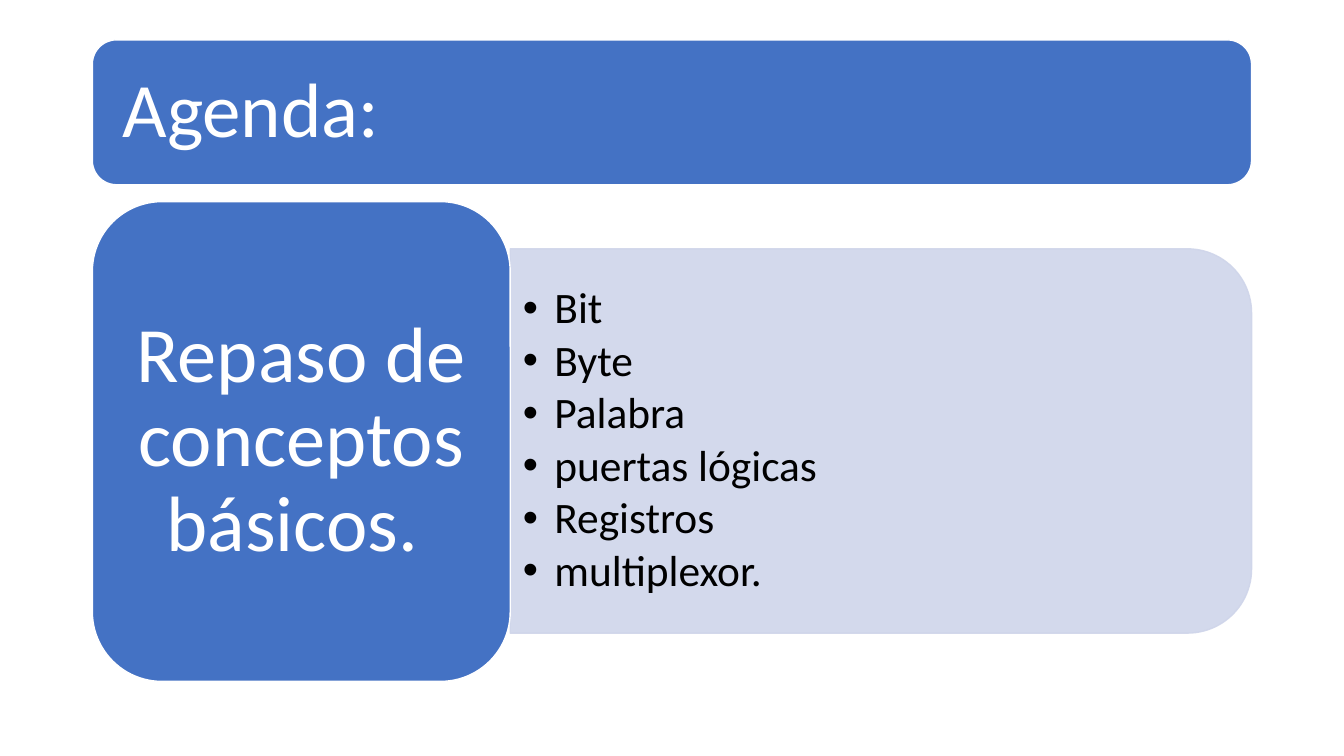
from dataclasses import dataclass

from lxml import etree
from pptx import Presentation
from pptx.dml.color import RGBColor
from pptx.enum import shapes, text
from pptx.oxml.ns import qn
from pptx.util import Pt

EMU_PER_PX = 9525


@dataclass(frozen=True)
class Theme:
    font: str = "Calibri"
    accent: str = "4472C4"
    pale: str = "CFD5EA"
    white: str = "FFFFFF"
    black: str = "000000"
    title_size: int = 55
    topic_size: int = 56
    item_size: int = 31
    line_spacing: float = 0.9
    item_gap: int = 4
    panel_opacity: int = 90


THEME = Theme()
CONCEPTS = ["Bit", "Byte", "Palabra", "puertas lógicas", "Registros", "multiplexor."]


def px(value):
    return int(value * EMU_PER_PX)


def set_opacity(fill, percent):
    color = fill._xPr.find(qn("a:solidFill"))[0]
    etree.SubElement(color, qn("a:alpha"), val=str(percent * 1000))


def add_block(slide, kind, box, color, line_color):
    shape = slide.shapes.add_shape(kind, *map(px, box))
    shape.shadow.inherit = False
    shape.fill.solid()
    shape.fill.fore_color.rgb = RGBColor.from_string(color)
    shape.line.color.rgb = RGBColor.from_string(line_color)
    shape.line.width = Pt(1)
    return shape


def prepare_frame(shape, side, vertical):
    """Set wrapping, middle anchoring and margins in px."""
    frame = shape.text_frame
    frame.word_wrap = True
    frame.vertical_anchor = text.MSO_ANCHOR.MIDDLE
    frame.margin_left = frame.margin_right = px(side)
    frame.margin_top = frame.margin_bottom = px(vertical)
    return frame


def write(paragraph, words, size, color, alignment=text.PP_ALIGN.LEFT):
    paragraph.alignment = alignment
    paragraph.line_spacing = THEME.line_spacing
    run = paragraph.add_run()
    run.text = words
    run.font.name = THEME.font
    run.font.size = Pt(size)
    run.font.color.rgb = RGBColor.from_string(color)


def add_bullet(paragraph, indent):
    properties = paragraph._p.get_or_add_pPr()
    properties.set("marL", str(px(indent)))
    properties.set("indent", str(px(-indent)))
    etree.SubElement(properties, qn("a:buFont"), typeface="Arial")
    etree.SubElement(properties, qn("a:buChar"), char="•")


def add_label(slide, box, words, size, margins, alignment):
    shape = add_block(slide, shapes.MSO_SHAPE.ROUNDED_RECTANGLE, box,
                      THEME.accent, THEME.white)
    frame = prepare_frame(shape, *margins)
    write(frame.paragraphs[0], words, size, THEME.white, alignment)


def add_panel(slide, box):
    """Add a pale panel, rounded on its right side by a quarter turn."""
    left, top, width, height = box
    shift = (width - height) / 2
    panel = add_block(slide, shapes.MSO_SHAPE.ROUND_2_SAME_RECTANGLE,
                      (left + shift, top - shift, height, width),
                      THEME.pale, THEME.pale)
    panel.rotation = 90
    set_opacity(panel.fill, THEME.panel_opacity)
    set_opacity(panel.line.fill, THEME.panel_opacity)


def add_list(slide, box, items):
    frame = prepare_frame(slide.shapes.add_textbox(*map(px, box)), 12, 6)
    for index, item in enumerate(items):
        paragraph = frame.add_paragraph() if index else frame.paragraphs[0]
        write(paragraph, item, THEME.item_size, THEME.black)
        paragraph.space_after = Pt(THEME.item_gap)
        add_bullet(paragraph, 30)


def main():
    presentation = Presentation()
    presentation.slide_width = px(1280)
    presentation.slide_height = px(720)
    slide = presentation.slides.add_slide(presentation.slide_layouts[6])
    add_label(slide, (88, 38, 1104, 138), "Agenda:", THEME.title_size,
              (22, 22), text.PP_ALIGN.LEFT)
    add_panel(slide, (486, 237, 706, 366))
    add_list(slide, (486, 255, 688, 330), CONCEPTS)
    add_label(slide, (88, 192, 398, 457), "Repaso de conceptos básicos. ",
              THEME.topic_size, (22, 12), text.PP_ALIGN.CENTER)
    presentation.save("out.pptx")


if __name__ == "__main__":
    main()
